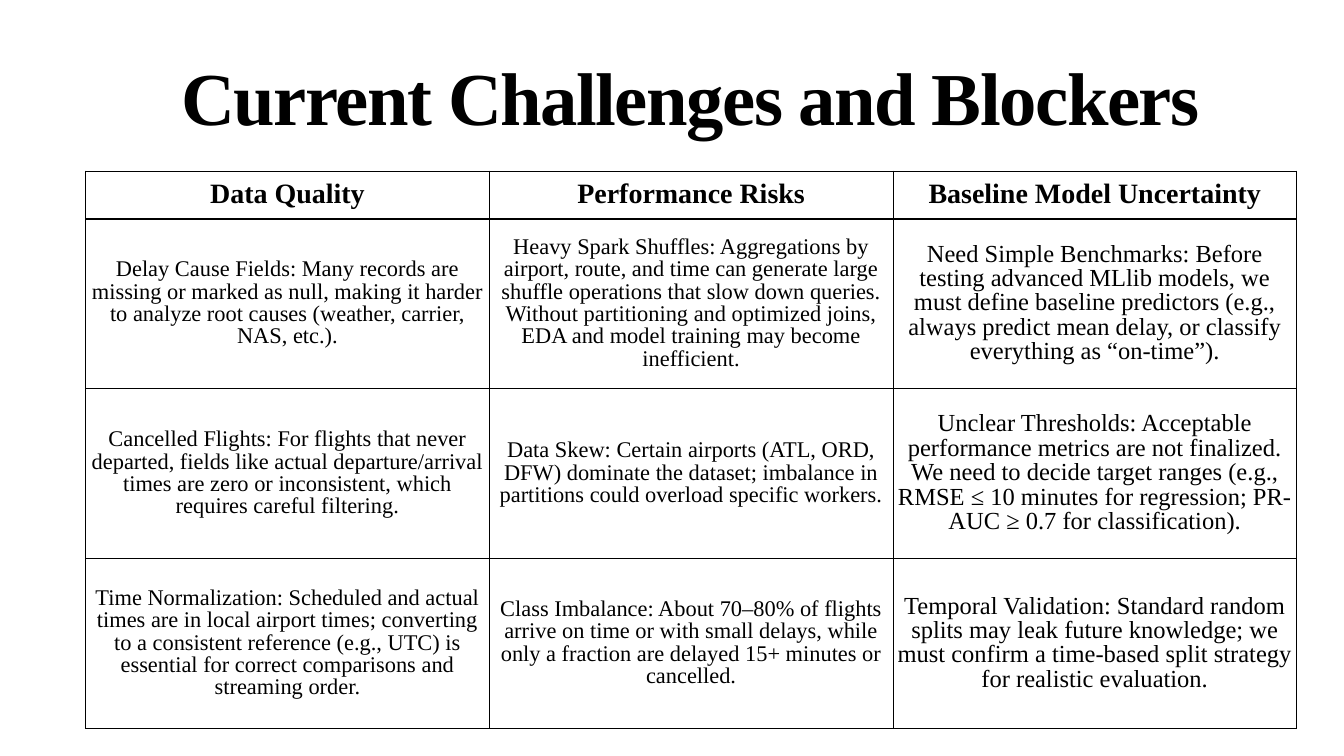
from lxml import etree
from pptx import Presentation
from pptx.dml.color import RGBColor
from pptx.enum import text
from pptx.oxml.ns import qn
from pptx.util import Pt

TITLE = "Current Challenges and Blockers"
CHALLENGES = [
    ("Data Quality", 32, [
        "Delay Cause Fields: Many records are missing or marked as null, making it harder to analyze root causes (weather, carrier, NAS, etc.).",
        "Cancelled Flights: For flights that never departed, fields like actual departure/arrival times are zero or inconsistent, which requires careful filtering.",
        "Time Normalization: Scheduled and actual times are in local airport times; converting to a consistent reference (e.g., UTC) is essential for correct comparisons and streaming order.",
    ]),
    ("Performance Risks", 32, [
        "Heavy Spark Shuffles: Aggregations by airport, route, and time can generate large shuffle operations that slow down queries. Without partitioning and optimized joins, EDA and model training may become inefficient.",
        "Data Skew: Certain airports (ATL, ORD, DFW) dominate the dataset; imbalance in partitions could overload specific workers.",
        "Class Imbalance: About 70–80% of flights arrive on time or with small delays, while only a fraction are delayed 15+ minutes or cancelled.",
    ]),
    ("Baseline Model Uncertainty", 35, [
        "Need Simple Benchmarks: Before testing advanced MLlib models, we must define baseline predictors (e.g., always predict mean delay, or classify everything as “on-time”).",
        "Unclear Thresholds: Acceptable performance metrics are not finalized. We need to decide target ranges (e.g., RMSE ≤ 10 minutes for regression; PR-AUC ≥ 0.7 for classification).",
        "Temporal Validation: Standard random splits may leak future knowledge; we must confirm a time-based split strategy for realistic evaluation.",
    ]),
]
FONT = "Times New Roman"
INK = "000000"
EMU_PER_PX = 9144
INSET = 6
TITLE_BOX = (169, 94, 2403, 190)
TABLE_LEFT, TABLE_TOP, TABLE_WIDTH = 170, 339, 2403
HEADING_HEIGHT, DETAIL_HEIGHT = 95, 337


def px(*lengths):
    return [length * EMU_PER_PX for length in lengths]


def color(code):
    return RGBColor.from_string(code)


def write(frame, wording, size, bold, line_spacing, space_before=0):
    frame.text = wording
    paragraph = frame.paragraphs[0]
    paragraph.alignment = text.PP_ALIGN.CENTER
    paragraph.line_spacing = line_spacing
    paragraph.space_before = Pt(space_before)
    run = paragraph.runs[0]
    run.font.name = FONT
    run.font.size = Pt(size)
    run.font.bold = bold
    run.font.color.rgb = color(INK)
    return run


def inset(holder):
    holder.margin_left, holder.margin_top, holder.margin_right, holder.margin_bottom = px(*[INSET] * 4)


def border(cell, bottom_width):
    properties = cell._tc.get_or_add_tcPr()
    widths = {"a:lnL": 1, "a:lnR": 1, "a:lnT": 1, "a:lnB": bottom_width}
    for position, (side, width) in enumerate(widths.items()):
        line = etree.Element(qn(side), w=str(Pt(width)))
        fill = etree.SubElement(line, qn("a:solidFill"))
        etree.SubElement(fill, qn("a:srgbClr"), val=INK)
        properties.insert(position, line)


def fill_cell(cell, wording, size, bold, bottom_width):
    write(cell.text_frame, wording, size, bold, 0.9, 45)
    cell.vertical_anchor = text.MSO_ANCHOR.MIDDLE
    inset(cell)
    cell.fill.background()
    border(cell, bottom_width)


def add_title(slide):
    frame = slide.shapes.add_textbox(*px(*TITLE_BOX)).text_frame
    frame.word_wrap = True
    frame.vertical_anchor = text.MSO_ANCHOR.BOTTOM
    inset(frame)
    run = write(frame, TITLE, 106.7, True, 0.8)
    run.font._element.set("spc", "-210")


def add_challenges(slide):
    details = len(CHALLENGES[0][2])
    heights = [HEADING_HEIGHT] + [DETAIL_HEIGHT] * details
    table = slide.shapes.add_table(
        len(heights), len(CHALLENGES),
        *px(TABLE_LEFT, TABLE_TOP, TABLE_WIDTH, sum(heights))).table
    table.first_row = table.horz_banding = False
    for row, height in zip(table.rows, px(*heights)):
        row.height = height
    for column, (heading, size, entries) in enumerate(CHALLENGES):
        fill_cell(table.cell(0, column), heading, 40, True, 3)
        for row, entry in enumerate(entries, 1):
            fill_cell(table.cell(row, column), entry, size, False, 1)


def main():
    deck = Presentation()
    deck.slide_width, deck.slide_height = px(2667, 1500)
    slide = deck.slides.add_slide(deck.slide_layouts[6])
    add_title(slide)
    add_challenges(slide)
    deck.save("out.pptx")


if __name__ == "__main__":
    main()
